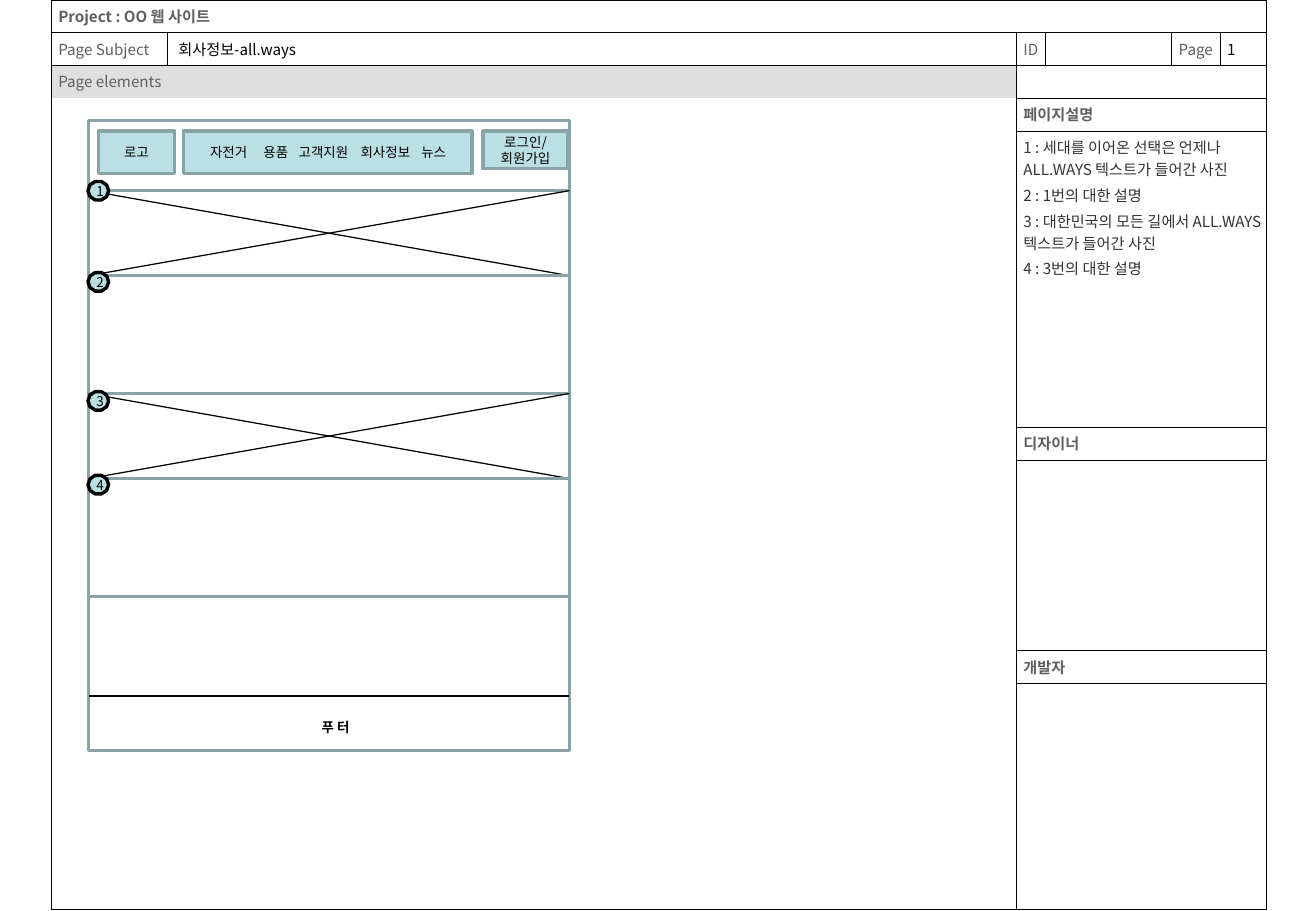
from math import cos, pi, sin

from lxml.etree import SubElement
from pptx import Presentation
from pptx.dml.color import RGBColor
from pptx.enum.shapes import MSO_CONNECTOR as Connector, MSO_SHAPE as Preset
from pptx.enum.text import MSO_ANCHOR as Anchor, PP_ALIGN as Align
from pptx.oxml.ns import qn
from pptx.util import Inches, Pt

FONT = "Noto Sans CJK KR"
BLACK, GRAY, DARK, WHITE = "000000", "5F5F5F", "333333", "FFFFFF"
BAND, AQUA, TEAL = "DFDFDF", "BBE0E3", "89A4A7"
NO_STYLE = "{2D5ABB26-0587-4C30-8999-92F81FD0307C}"

COLUMNS = [0.96, 6.99, 0.24, 1.04, 0.4, 0.38]
BAR = 0.27
ROWS = [BAR] * 4 + [2.44, BAR, 1.57, BAR, 1.86]
MERGES = [(0, 0, 0, 5), (2, 0, 2, 1), (3, 0, 8, 1)] + [(row, 2, row, 5) for row in range(2, 9)]

NOTES = ["1 : 세대를 이어온 선택은 언제나 ALL.WAYS 텍스트가 들어간 사진",
         "2 : 1번의 대한 설명",
         "3 : 대한민국의 모든 길에서 ALL.WAYS 텍스트가 들어간 사진",
         "4 : 3번의 대한 설명"]
FORM = {
    (0, 0): (["Project : OO 웹 사이트"], GRAY, True),
    (1, 0): (["Page Subject"], GRAY, False),
    (1, 1): (["회사정보-all.ways"], BLACK, False),
    (1, 2): (["ID"], GRAY, False),
    (1, 4): (["Page"], GRAY, False),
    (1, 5): (["1"], BLACK, False),
    (2, 0): (["Page elements"], GRAY, False),
    (3, 2): (["페이지설명"], GRAY, True),
    (4, 2): (NOTES, DARK, False),
    (5, 2): (["디자이너"], GRAY, True),
    (7, 2): (["개발자"], GRAY, True),
}
OPEN_SIDES = {(2, 0): "B", (3, 0): "T"}

# top within the page frame, height, crossed out as an image, badge offset
SECTIONS = [(0.58, 0.7, True, 0), (1.28, 0.97, False, 0.05),
            (2.25, 0.7, True, 0.06), (2.95, 0.97, False, 0.05)]
MENU = "자전거\t용품\t고객지원\t회사정보\t뉴스"
MENU_TABS = [0.44, 0.73, 1.24, 1.74]


def color(code):
    return RGBColor.from_string(code)


def set_attributes(target, values):
    for name, value in values.items():
        setattr(target, name, value)


def write(frame, lines, size, ink=BLACK, bold=False, align=Align.LEFT, gap=0, tabs=()):
    for index, line in enumerate(lines):
        para = frame.paragraphs[0] if index == 0 else frame.add_paragraph()
        para.alignment = align
        if index and gap:
            para.space_before = Pt(gap)
        if tabs:
            stops = SubElement(para._p.get_or_add_pPr(), qn("a:tabLst"))
            for stop in tabs:
                SubElement(stops, qn("a:tab"), pos=str(Inches(stop)), algn="l")
        run = para.add_run()
        run.text = line
        set_attributes(run.font, {"name": FONT, "size": Pt(size), "bold": bold})
        run.font.color.rgb = color(ink)
        SubElement(run.font._element, qn("a:ea"), typeface=FONT)


def inset(frame, left, top, right, bottom):
    set_attributes(frame, {"margin_left": Inches(left), "margin_top": Inches(top),
                           "margin_right": Inches(right), "margin_bottom": Inches(bottom)})


def paint(shape, fill, line):
    shape.shadow.inherit = False
    shape.fill.solid()
    shape.fill.fore_color.rgb = color(fill)
    shape.line.color.rgb = color(line)
    shape.line.width = Pt(2)


def add_box(slide, box, fill=WHITE):
    shape = slide.shapes.add_shape(Preset.RECTANGLE, *map(Inches, box))
    paint(shape, fill, TEAL)
    return shape


def add_line(slide, *ends):
    line = slide.shapes.add_connector(Connector.STRAIGHT, *map(Inches, ends))
    line.line.color.rgb = color(BLACK)
    line.line.width = Pt(0.75)
    SubElement(line._element.spPr, qn("a:effectLst"))


def outline_cell(cell, open_sides):
    properties = cell._tc.get_or_add_tcPr()
    for index, side in enumerate("LRTB"):
        edge = properties.makeelement(qn(f"a:ln{side}"), {"w": str(Pt(0.5))})
        properties.insert(index, edge)
        if side in open_sides:
            SubElement(edge, qn("a:noFill"))
        else:
            SubElement(SubElement(edge, qn("a:solidFill")), qn("a:srgbClr"), val=BLACK)


def add_form(slide, left, top):
    holder = slide.shapes.add_table(len(ROWS), len(COLUMNS), Inches(left), Inches(top),
                                    Inches(sum(COLUMNS)), Inches(sum(ROWS)))
    holder.element.xpath(".//a:tableStyleId")[0].text = NO_STYLE
    form = holder.table
    set_attributes(form, {"first_row": False, "horz_banding": False})
    for column, width in zip(form.columns, COLUMNS):
        column.width = Inches(width)
    for row, height in zip(form.rows, ROWS):
        row.height = Inches(height)
    for row, column, last_row, last_column in MERGES:
        form.cell(row, column).merge(form.cell(last_row, last_column))
    for row in range(len(ROWS)):
        for column in range(len(COLUMNS)):
            cell, place = form.cell(row, column), (row, column)
            inset(cell, 0.09 if place == (1, 1) else 0.06, 0.04, 0.03, 0.04)
            if place in FORM:
                lines, ink, bold = FORM[place]
                write(cell.text_frame, lines, 9, ink, bold, gap=2.2)
            else:
                SubElement(cell.text_frame.paragraphs[0]._p, qn("a:endParaRPr"), sz="900")
            if cell.is_spanned:
                continue
            if place == (2, 0):
                cell.fill.solid()
                cell.fill.fore_color.rgb = color(BAND)
            else:
                cell.fill.background()
            outline_cell(cell, OPEN_SIDES.get(place, ""))


def add_badge(slide, number, x, y):
    """Ten-sided marker centred on x, y."""
    corners = [(Inches(x - 0.085 * cos(k * pi / 5)), Inches(y - 0.08 * sin(k * pi / 5)))
               for k in range(10)]
    builder = slide.shapes.build_freeform(*corners[0])
    builder.add_line_segments(corners[1:], close=True)
    badge = builder.convert_to_shape()
    paint(badge, AQUA, BLACK)
    inset(badge.text_frame, 0.03, 0, 0, 0)
    set_attributes(badge.text_frame, {"vertical_anchor": Anchor.MIDDLE, "word_wrap": False})
    write(badge.text_frame, [str(number)], 8, align=Align.CENTER)


def add_header(slide, left, top):
    buttons = [(0.08, 0.63, 0.35, ["로고"], ()),
               (0.78, 2.38, 0.35, [MENU], MENU_TABS),
               (3.25, 0.7, 0.31, ["로그인/", "회원가입"], ())]
    for offset, width, height, lines, tabs in buttons:
        frame = add_box(slide, (left + offset, top, width, height), AQUA).text_frame
        side = 0.22 if tabs else 0.1
        inset(frame, side, 0.05, 0.1, 0.05)
        set_attributes(frame, {"vertical_anchor": Anchor.MIDDLE, "word_wrap": True})
        write(frame, lines, 8, align=Align.LEFT if tabs else Align.CENTER, tabs=tabs)


def add_wireframe(slide, left, top, width, height):
    right, footer_top = left + width, top + 4.74
    add_box(slide, (left, top, width, height))
    add_line(slide, left, footer_top, right, footer_top)
    footer = slide.shapes.add_textbox(*map(Inches, (left + 1.82, top + 4.88, 1.72, 0.24)))
    footer.text_frame.word_wrap = True
    write(footer.text_frame, ["푸 터"], 8, bold=True)
    for offset, depth, crossed, _ in SECTIONS:
        start, end = top + offset, top + offset + depth
        add_box(slide, (left, start, width, depth))
        if crossed:
            add_line(slide, right, start, left, end)
            add_line(slide, left, start, right, end)
    add_header(slide, left, top + 0.09)
    for number, (offset, _, _, drop) in enumerate(SECTIONS, 1):
        add_badge(slide, number, left + 0.08, top + offset + drop)


def main():
    deck = Presentation()
    set_attributes(deck, {"slide_width": Inches(10.84), "slide_height": Inches(7.5)})
    slide = deck.slides.add_slide(deck.slide_layouts[6])
    add_form(slide, 0.42, 0)
    add_wireframe(slide, 0.73, 0.99, 3.96, 5.19)
    deck.save("out.pptx")


if __name__ == "__main__":
    main()
